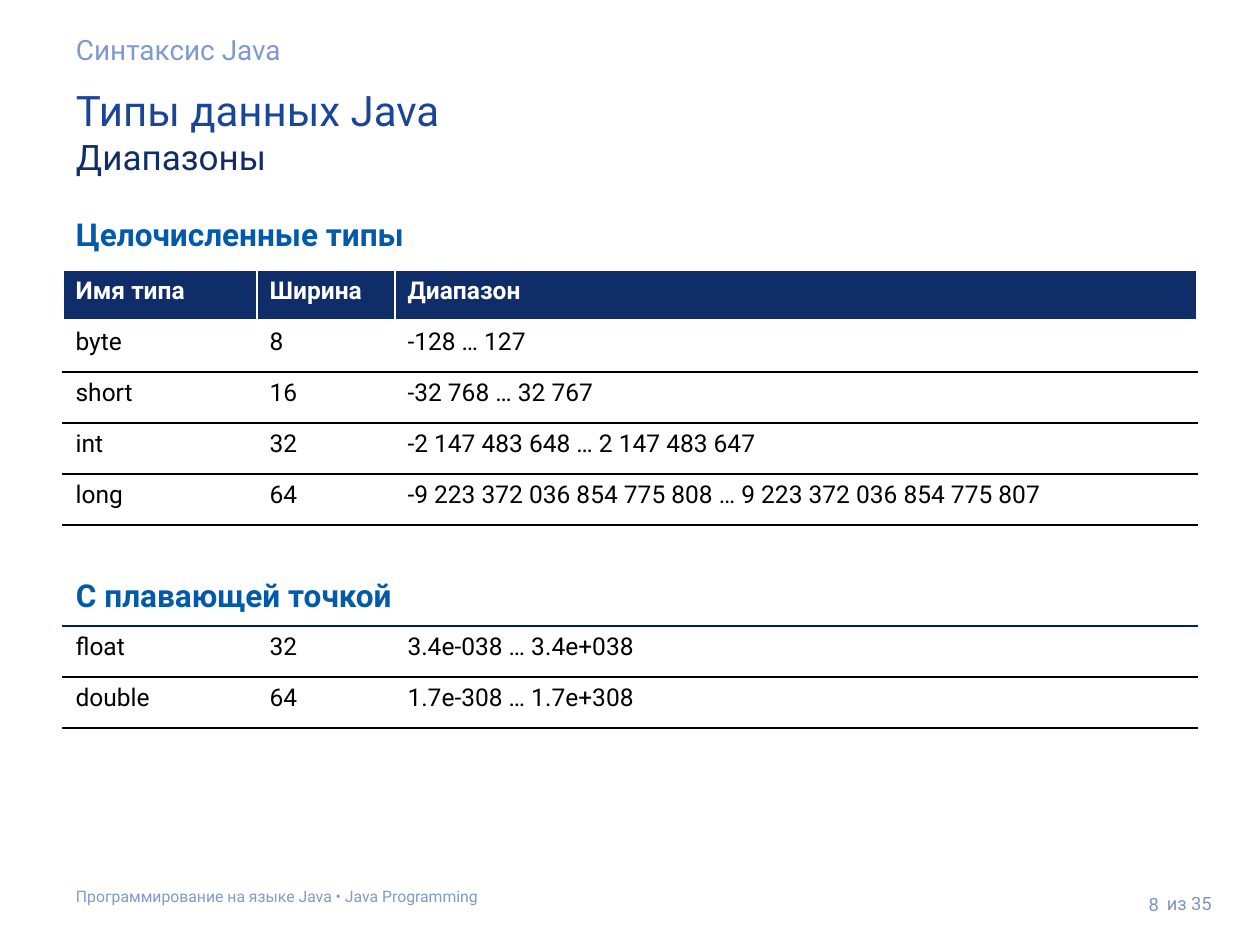
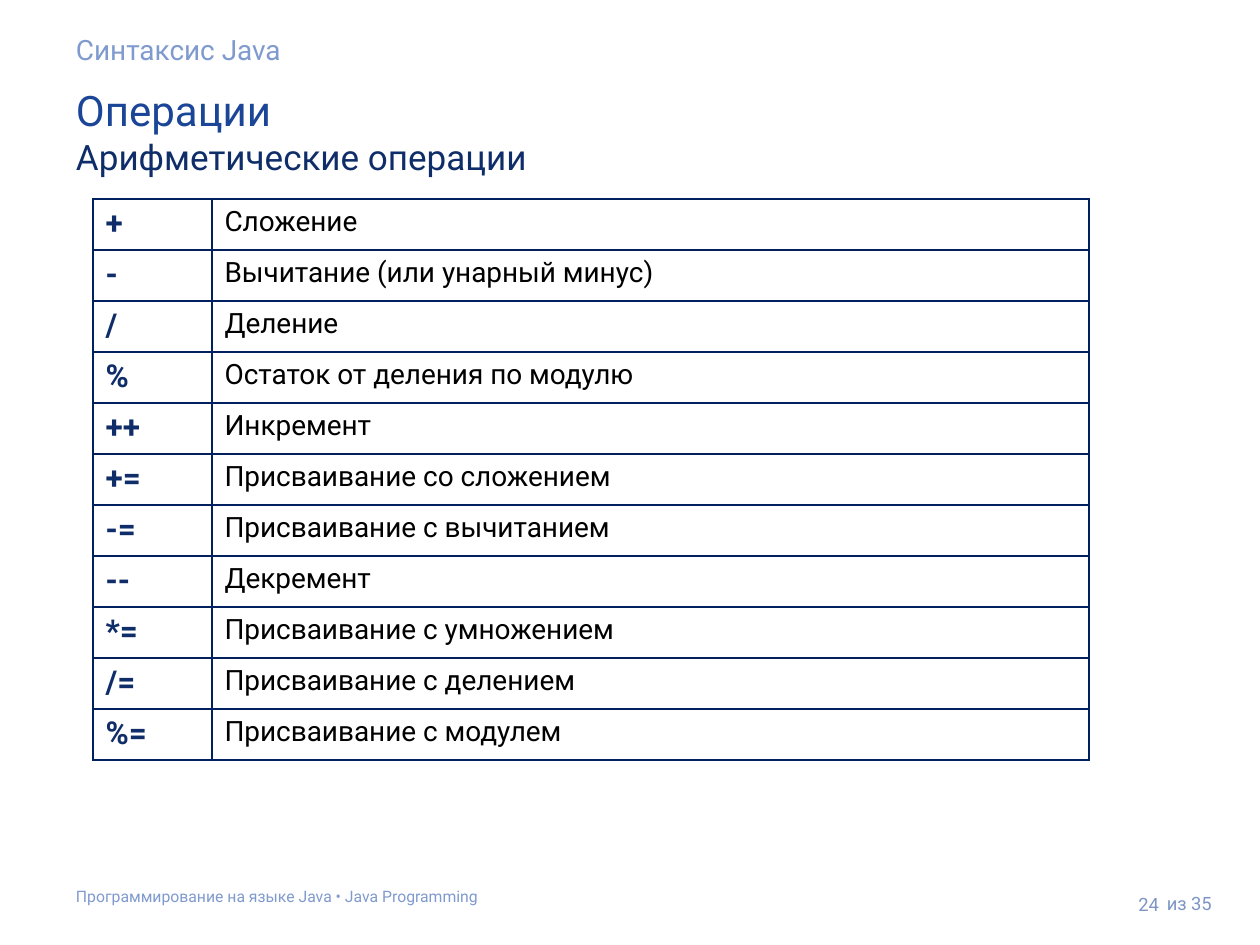
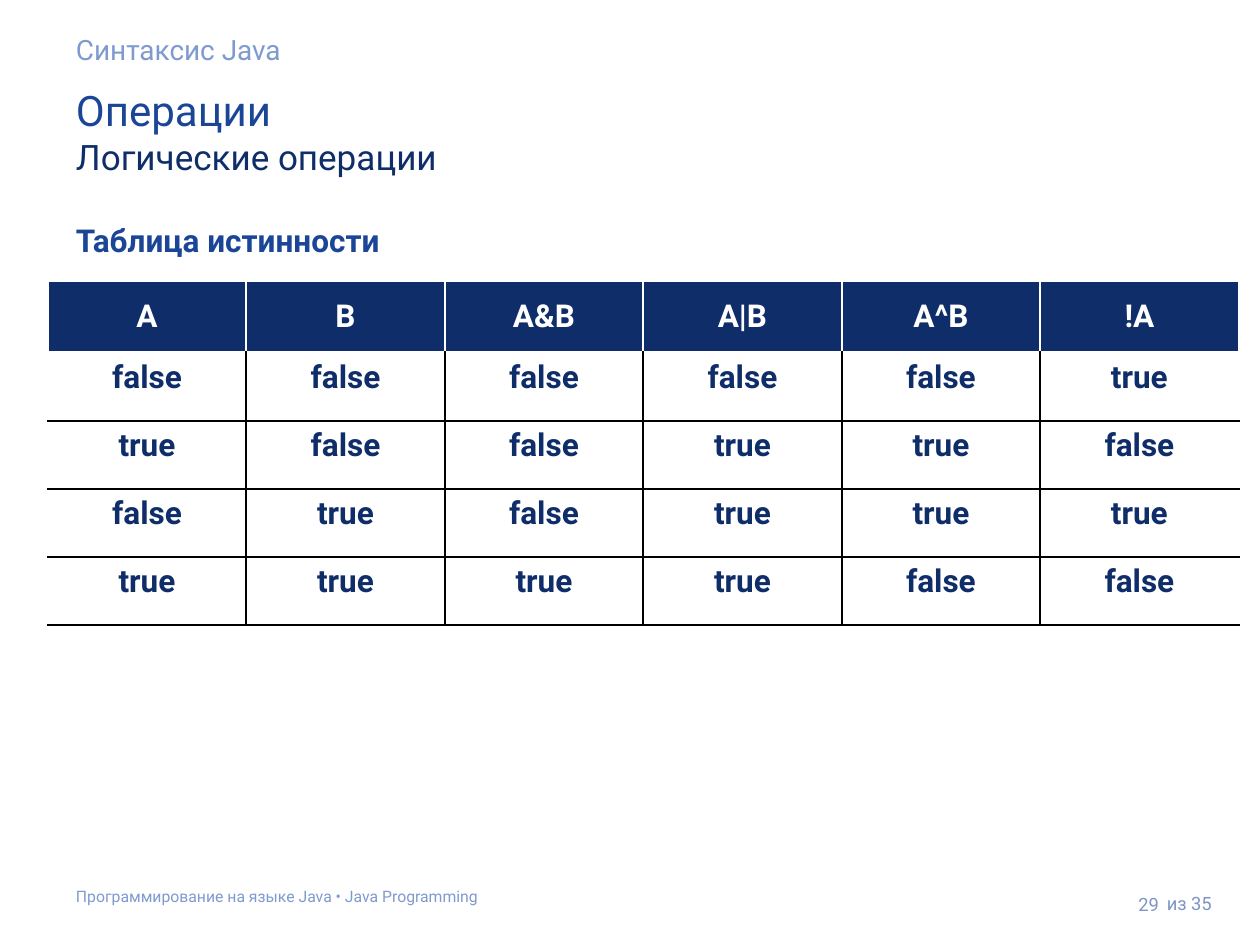
from dataclasses import dataclass

from lxml.etree import SubElement
from pptx import Presentation
from pptx.dml.color import RGBColor
from pptx.enum.text import MSO_ANCHOR as Anchor, MSO_AUTO_SIZE as AutoSize, PP_ALIGN as Align
from pptx.oxml.ns import qn
from pptx.util import Emu, Pt

PX_PER_INCH = 126
FONT = "Roboto"
TITLE_ONLY = 5
COLORS = {
    "title": "1B4597",
    "navy": "0F2D69",
    "rule": "002060",
    "section": "015AAA",
    "muted": "7F9ACF",
    "number": "7D95C4",
    "black": "000000",
    "white": "FFFFFF",
}
SECTION = "Синтаксис Java"
FOOTER = "Программирование на языке Java • Java Programming"
TOTAL = "из 35"

TYPE_ROWS = [
    ("Имя типа", "Ширина", "Диапазон"),
    ("byte", "8", "-128 … 127"),
    ("short", "16", "-32 768 … 32 767"),
    ("int", "32", "-2 147 483 648 … 2 147 483 647"),
    ("long", "64", "-9 223 372 036 854 775 808 … 9 223 372 036 854 775 807"),
    ("", "", ""),
    ("float", "32", "3.4e-038 … 3.4e+038"),
    ("double", "64", "1.7e-308 … 1.7e+308"),
]
ARITHMETIC_ROWS = [
    ("+", "Сложение"),
    ("-", "Вычитание (или унарный минус)"),
    ("/", "Деление"),
    ("%", "Остаток от деления по модулю"),
    ("++", "Инкремент"),
    ("+=", "Присваивание со сложением"),
    ("-=", "Присваивание с вычитанием"),
    ("--", "Декремент"),
    ("*=", "Присваивание с умножением"),
    ("/=", "Присваивание с делением"),
    ("%=", "Присваивание с модулем"),
]
TRUTH_ROWS = [
    ("A", "B", "A&B", "A|B", "A^B", "!A"),
    ("false", "false", "false", "false", "false", "true"),
    ("true", "false", "false", "true", "true", "false"),
    ("false", "true", "false", "true", "true", "true"),
    ("true", "true", "true", "true", "false", "false"),
]


@dataclass
class Look:
    """Text, fill and borders of a table cell; each border is a colour and a width."""
    size: float
    color: str = "black"
    bold: bool = False
    fill: str = ""
    align: Align = Align.LEFT
    anchor: Anchor = Anchor.TOP
    left: tuple = ("white", 1)
    right: tuple = ("white", 1)
    top: tuple = ("white", 1)
    bottom: tuple = ("black", 1)


def px(length):
    """Turn pixels into EMU."""
    return Emu(round(length * 914400 / PX_PER_INCH))


def rgb(name):
    """Look up a named colour."""
    return RGBColor.from_string(COLORS[name])


def format_para(para, size, color, bold=False, align=Align.LEFT):
    """Align a paragraph and format its runs."""
    para.alignment = align
    for span in para.runs:
        span.font.name = FONT
        span.font.size = Pt(size)
        span.font.bold = bold
        span.font.color.rgb = rgb(color)


def set_frame(frame, inset=13, anchor=Anchor.TOP):
    """Set wrapping, vertical insets and anchoring of a text frame."""
    frame.word_wrap = True
    frame.auto_size = AutoSize.NONE
    frame.margin_left = frame.margin_right = px(13)
    frame.margin_top = frame.margin_bottom = px(inset)
    frame.vertical_anchor = anchor


def add_label(page, place, text, size, color, bold=False, align=Align.LEFT, **layout):
    """Add a one-line text box."""
    box = page.shapes.add_textbox(*map(px, place))
    set_frame(box.text_frame, **layout)
    box.text_frame.text = text
    format_para(box.text_frame.paragraphs[0], size, color, bold, align)


def add_heading(page, left, top, text, color):
    """Add a bold heading above a table."""
    add_label(page, (left, top, 764, 50), text, 18, color, bold=True, inset=6)


def add_page(deck, title, subtitle, number):
    """Add a slide with its title, section name, footer and page number."""
    page = deck.slides.add_slide(deck.slide_layouts[TITLE_ONLY])
    box = page.shapes.title
    box.left, box.top, box.width, box.height = map(px, (63, 72, 1158, 118))
    set_frame(box.text_frame)
    box.text_frame.text = f"{title}\n{subtitle}"
    heading, subheading = box.text_frame.paragraphs
    format_para(heading, 24, "title")
    format_para(subheading, 20, "navy")
    add_label(page, (63, 20, 1158, 59), SECTION, 16, "muted")
    add_label(page, (63, 874, 1134, 44), FOOTER, 9, "muted")
    add_label(page, (1154, 878, 87, 50), TOTAL, 10.5, "number", inset=6, anchor=Anchor.MIDDLE)
    add_label(page, (1096, 868, 76, 72), str(number), 10.5, "number",
              align=Align.RIGHT, anchor=Anchor.MIDDLE)
    return page


def set_borders(cell, look):
    """Draw the four borders of a cell."""
    properties = cell._tc.get_or_add_tcPr()
    sides = (("a:lnL", look.left), ("a:lnR", look.right),
             ("a:lnT", look.top), ("a:lnB", look.bottom))
    for index, (tag, (color, width)) in enumerate(sides):
        line = SubElement(properties, qn(tag), w=str(Pt(width)))
        SubElement(SubElement(line, qn("a:solidFill")), qn("a:srgbClr"), val=COLORS[color])
        properties.insert(index, line)


def add_grid(page, left, top, widths, heights, rows, look_at):
    """Add a table whose cells look as look_at(row, column) says."""
    place = map(px, (left, top, sum(widths), sum(heights)))
    table = page.shapes.add_table(len(rows), len(widths), *place).table
    table.first_row = table.horz_banding = False
    for column, width in zip(table.columns, widths):
        column.width = px(width)
    for line, height in zip(table.rows, heights):
        line.height = px(height)
    for row, texts in enumerate(rows):
        for column, text in enumerate(texts):
            look = look_at(row, column)
            cell = table.cell(row, column)
            cell.text_frame.text = text
            cell.vertical_anchor = look.anchor
            format_para(cell.text_frame.paragraphs[0], look.size, look.color,
                        look.bold, look.align)
            if look.fill:
                cell.fill.solid()
                cell.fill.fore_color.rgb = rgb(look.fill)
            else:
                cell.fill.background()
            set_borders(cell, look)


def header_look(size, **extra):
    """Give the look of a dark header cell."""
    return Look(size, "white", True, "navy", bottom=("white", 3), **extra)


def type_look(row, column):
    """Style the data type table: header, plain rows and a blue rule after the gap."""
    if row == 0:
        return header_look(14)
    gap = TYPE_ROWS.index(("", "", ""))
    top = {1: "white", gap + 1: "rule"}.get(row, "black")
    bottom = "rule" if row == gap else "black"
    return Look(14, top=(top, 1), bottom=(bottom, 1))


def arithmetic_look(row, column):
    """Style the operator table: bold signs and plain descriptions."""
    borders = dict.fromkeys(("left", "right", "top", "bottom"), ("rule", 1))
    if column == 0:
        return Look(18, "navy", True, **borders)
    return Look(16, **borders)


def truth_look(row, column):
    """Style the truth table: header and a grid open at both sides."""
    if row == 0:
        return header_look(18, align=Align.CENTER, anchor=Anchor.MIDDLE)
    last = len(TRUTH_ROWS[0]) - 1
    return Look(18, "navy", True, align=Align.CENTER,
                left=("white" if column == 0 else "black", 1),
                right=("white" if column == last else "black", 1),
                top=("white" if row == 1 else "black", 1))


def add_types_page(deck):
    """Show the ranges of the data types."""
    page = add_page(deck, "Типы данных Java", "Диапазоны", 8)
    heights = [51 if any(texts) else 101 for texts in TYPE_ROWS]
    add_grid(page, 63, 270, (194, 138, 802), heights, TYPE_ROWS, type_look)
    add_heading(page, 63, 209, "Целочисленные типы", "section")
    add_heading(page, 63, 570, "С плавающей точкой", "section")


def add_arithmetic_page(deck):
    """List the arithmetic operators."""
    page = add_page(deck, "Операции", "Арифметические операции", 24)
    heights = [51] * len(ARITHMETIC_ROWS)
    add_grid(page, 93, 199, (119, 877), heights, ARITHMETIC_ROWS, arithmetic_look)


def add_truth_page(deck):
    """Show the truth table of the logical operators."""
    page = add_page(deck, "Операции", "Логические операции", 29)
    add_heading(page, 63, 215, "Таблица истинности", "title")
    heights = [72] + [68] * (len(TRUTH_ROWS) - 1)
    add_grid(page, 48, 281, [198, 199] * 3, heights, TRUTH_ROWS, truth_look)


def main():
    """Build and save the deck."""
    deck = Presentation()
    deck.slide_width, deck.slide_height = px(1260), px(945)
    add_types_page(deck)
    add_arithmetic_page(deck)
    add_truth_page(deck)
    deck.save("out.pptx")


if __name__ == "__main__":
    main()
